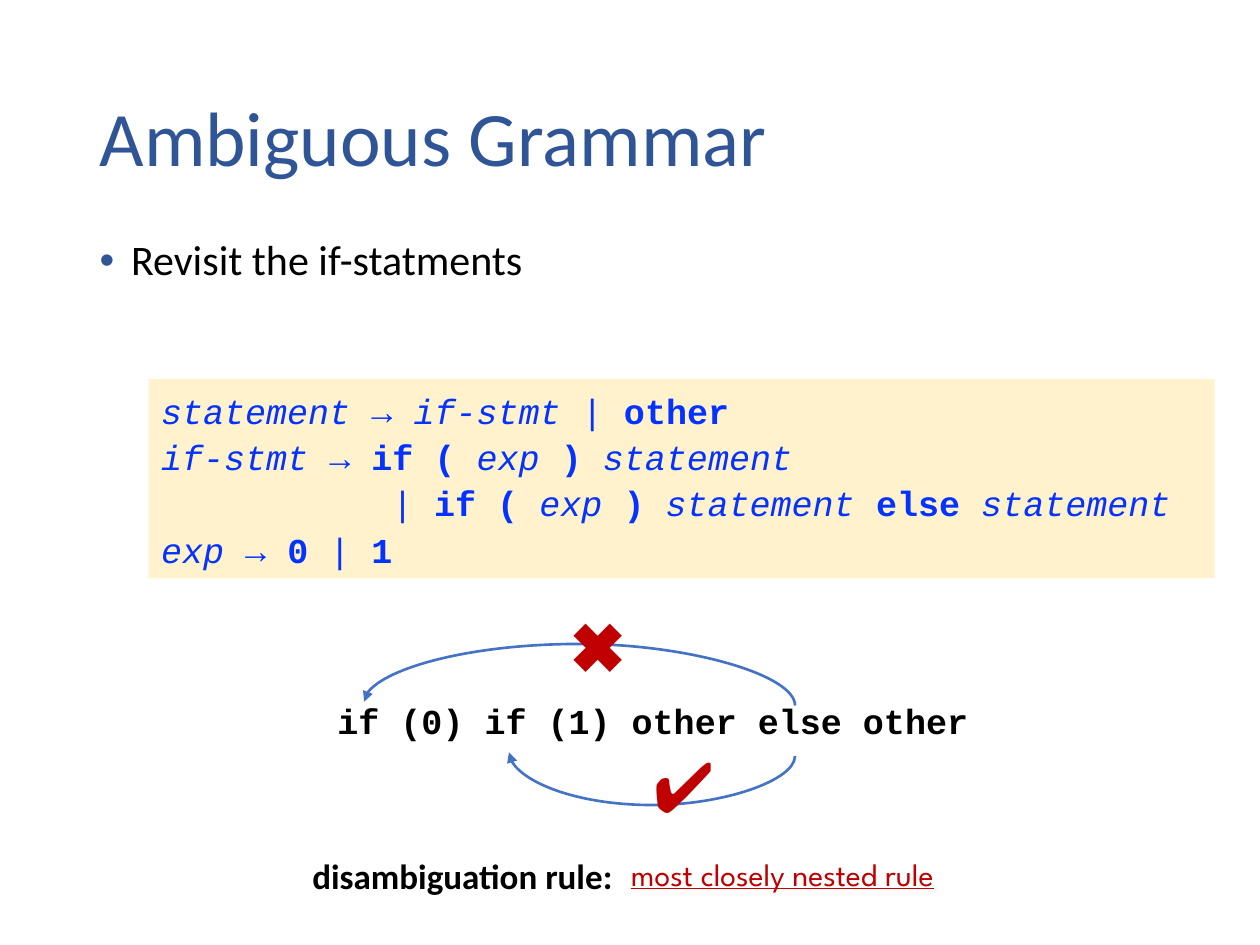
"""Slide on the ambiguous if-statement grammar and its disambiguation rule."""
import pptx
import pptx.util
import pptx.dml.color
import pptx.enum.shapes
import pptx.enum.text
import pptx.oxml
import pptx.oxml.ns

COLUMNS, ROWS = 100, 75
COLOURS = {"title": "2F5597", "text": "000000", "panel": "FFF2CC",
           "code": "0432FF", "arrow": "4472C4", "accent": "C00000"}
SANS, MONO, DISPLAY = "Calibri", "Courier New", "League Spartan"

TITLE = ("Ambiguous Grammar", (6.9, 4, 86.2, 14.5))
TOPIC = ("Revisit the if-statments", (6.9, 18.5, 61.6, 6.1))

GRAMMAR_AREA = (11.8, 30.1, 84.6, 15.8)
CODE_SIZE = 20
CODE_CHARACTER = 0.6 * CODE_SIZE
GRAMMAR = [
    (0, [("statement", "i"), (" → ", ""), ("if-stmt ", "i"), ("| ", ""), ("other", "b")]),
    (0, [("if-stmt ", "i"), ("→ ", ""), ("if ( ", "b"), ("exp ", "i"), (") ", "b"),
         ("statement", "i")]),
    (11, [("| ", ""), ("if ( ", "b"), ("exp ", "i"), (")", "b"), (" statement ", "i"),
          ("else", "b"), (" statement", "i")]),
    (0, [("exp → ", "i"), ("0 ", "b"), ("| ", ""), ("1", "b")]),
]

ARCS = [
    {"start": (63.1, 60), "end": (40.4, 59.7), "peak": 63.9, "turn": 90, "flip": "flipH"},
    {"start": (63.1, 56), "end": (28.9, 55.7), "peak": 51.1, "turn": 270, "flip": "flipV"},
]

STATEMENT = ("if (0) if (1) other else other", (25.8, 55, 52.6, 4.4), 20, MONO, "text", "b", True)
NOTES = [
    ("most closely nested rule", (49.1, 67.4, 31.6, 4), 18, DISPLAY, "accent", "u", False),
    ("disambiguation rule:", (23.8, 67.3, 26.1, 4.4), 20, SANS, "text", "b", False),
    ("✖️", (44.3, 47.3, 9.6, 7.7), 40, SANS, "accent", "", True),
    ("✔️", (50.9, 58.4, 7.8, 7.7), 40, SANS, "accent", "", True),
]

deck = pptx.Presentation()
deck.slide_width = pptx.util.Inches(10)
deck.slide_height = pptx.util.Inches(7.5)
slide = deck.slides.add_slide(deck.slide_layouts[1])


def across(columns):
    return round(deck.slide_width * columns / COLUMNS)


def down(rows):
    return round(deck.slide_height * rows / ROWS)


def area(box):
    left, top, width, height = box
    return across(left), down(top), across(width), down(height)


def rgb(name):
    return pptx.dml.color.RGBColor.from_string(COLOURS[name])


def style(run, size, font, colour, marks=""):
    run.font.size = pptx.util.Pt(size)
    run.font.name = font
    run.font.color.rgb = rgb(colour)
    run.font.bold = "b" in marks
    run.font.italic = "i" in marks
    run.font.underline = "u" in marks


def add_child(parent, tag, **attributes):
    child = pptx.oxml.parse_xml(f"<a:{tag} {pptx.oxml.ns.nsdecls('a')}/>")
    for key, value in attributes.items():
        child.set(key, str(value))
    parent.append(child)
    return child


def fill_placeholder(holder, content, size, colour):
    text, box = content
    holder.left, holder.top, holder.width, holder.height = area(box)
    holder.text_frame.text = text
    holder.text_frame.auto_size = pptx.enum.text.MSO_AUTO_SIZE.NONE
    paragraph = holder.text_frame.paragraphs[0]
    paragraph.alignment = pptx.enum.text.PP_ALIGN.LEFT
    paragraph.line_spacing = 0.9
    style(paragraph.runs[0], size, SANS, colour)
    return paragraph


def add_grammar():
    panel = slide.shapes.add_shape(pptx.enum.shapes.MSO_SHAPE.RECTANGLE, *area(GRAMMAR_AREA))
    panel.shadow.inherit = False
    panel.fill.solid()
    panel.fill.fore_color.rgb = rgb("panel")
    panel.line.fill.background()
    frame = panel.text_frame
    frame.word_wrap = True
    frame.vertical_anchor = pptx.enum.text.MSO_ANCHOR.TOP
    for number, (indent, parts) in enumerate(GRAMMAR):
        rule = frame.add_paragraph() if number else frame.paragraphs[0]
        rule.alignment = pptx.enum.text.PP_ALIGN.LEFT
        rule.line_spacing = 1.1
        margin = pptx.util.Pt(indent * CODE_CHARACTER)
        rule._p.get_or_add_pPr().set("marL", str(margin))
        for text, marks in parts:
            run = rule.add_run()
            run.text = text
            style(run, CODE_SIZE, MONO, "code", marks)


def add_label(text, box, size, font, colour, marks, wrap):
    label = slide.shapes.add_textbox(*area(box))
    label.text_frame.text = text
    label.text_frame.word_wrap = wrap
    style(label.text_frame.paragraphs[0].runs[0], size, font, colour, marks)


def add_arc(start, end, peak, turn, flip):
    (x1, y1), (x2, y2) = start, end
    length, span = abs(y2 - y1), abs(x2 - x1)
    left, top = (x1 + x2 - length) / 2, (y1 + y2 - span) / 2
    arc = slide.shapes.add_connector(
        pptx.enum.shapes.MSO_CONNECTOR.CURVE,
        across(left), down(top), across(left + length), down(top + span))
    arc.line.color.rgb = rgb("arrow")
    arc.line.width = pptx.util.Pt(1.5)
    add_child(arc.line._get_or_add_ln(), "tailEnd", type="triangle")
    properties = arc._element.spPr
    add_child(properties, "effectLst")
    frame = properties.find(pptx.oxml.ns.qn("a:xfrm"))
    frame.set("rot", str(turn * 60000))
    frame.set(flip, "1")
    bend = round((peak - y1) / (y2 - y1) * 100000)
    geometry = properties.find(pptx.oxml.ns.qn("a:prstGeom"))
    guides = geometry.find(pptx.oxml.ns.qn("a:avLst"))
    add_child(guides, "gd", name="adj1", fmla=f"val {bend}")


fill_placeholder(slide.shapes.title, TITLE, 44, "title")
slide.shapes.title.text_frame.vertical_anchor = pptx.enum.text.MSO_ANCHOR.MIDDLE

topic = fill_placeholder(slide.placeholders[1], TOPIC, 24, "text")
topic.space_before = pptx.util.Pt(10)
bullet = topic._p.get_or_add_pPr()
indent = pptx.util.Inches(0.25)
bullet.set("marL", str(indent))
bullet.set("indent", str(-indent))
add_child(add_child(bullet, "buClr"), "srgbClr", val=COLOURS["title"])
add_child(bullet, "buFont", typeface="Arial")
add_child(bullet, "buChar", char="•")

add_grammar()
add_label(*STATEMENT)
for arc in ARCS:
    add_arc(**arc)
for note in NOTES:
    add_label(*note)

deck.save("out.pptx")
